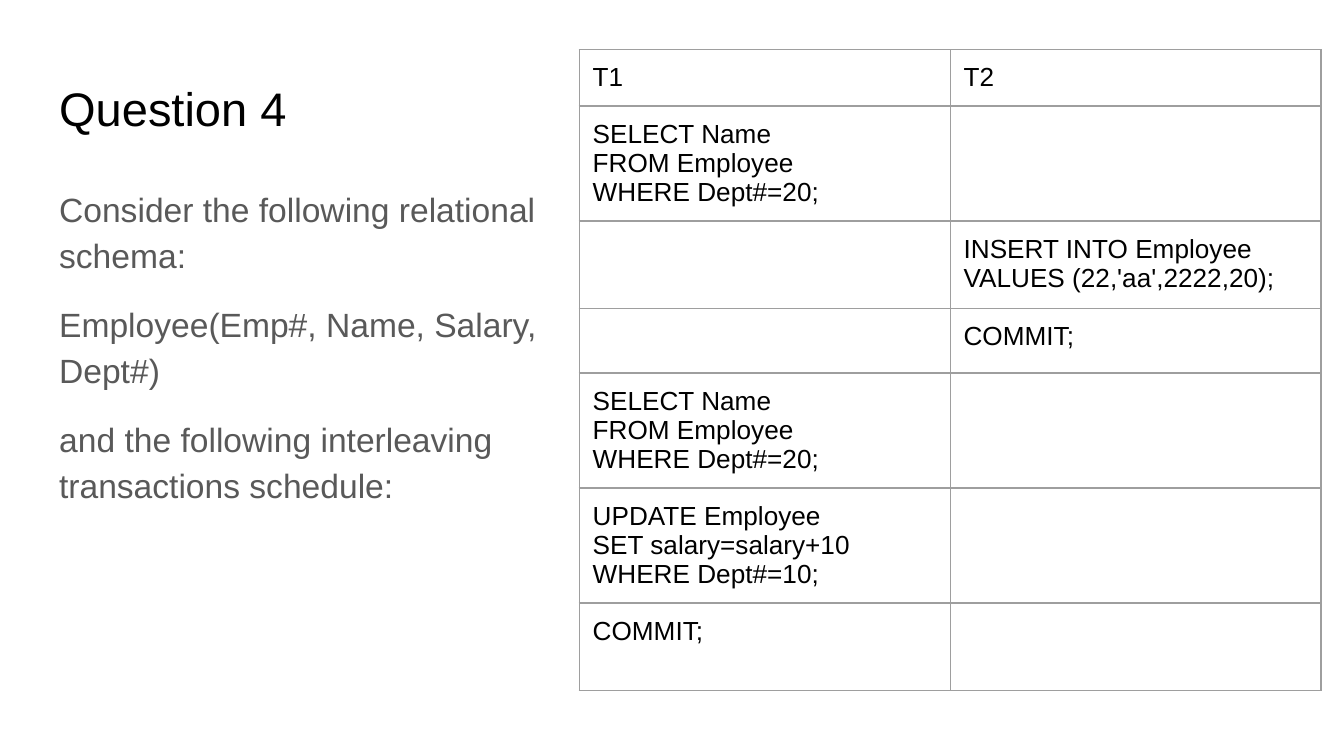
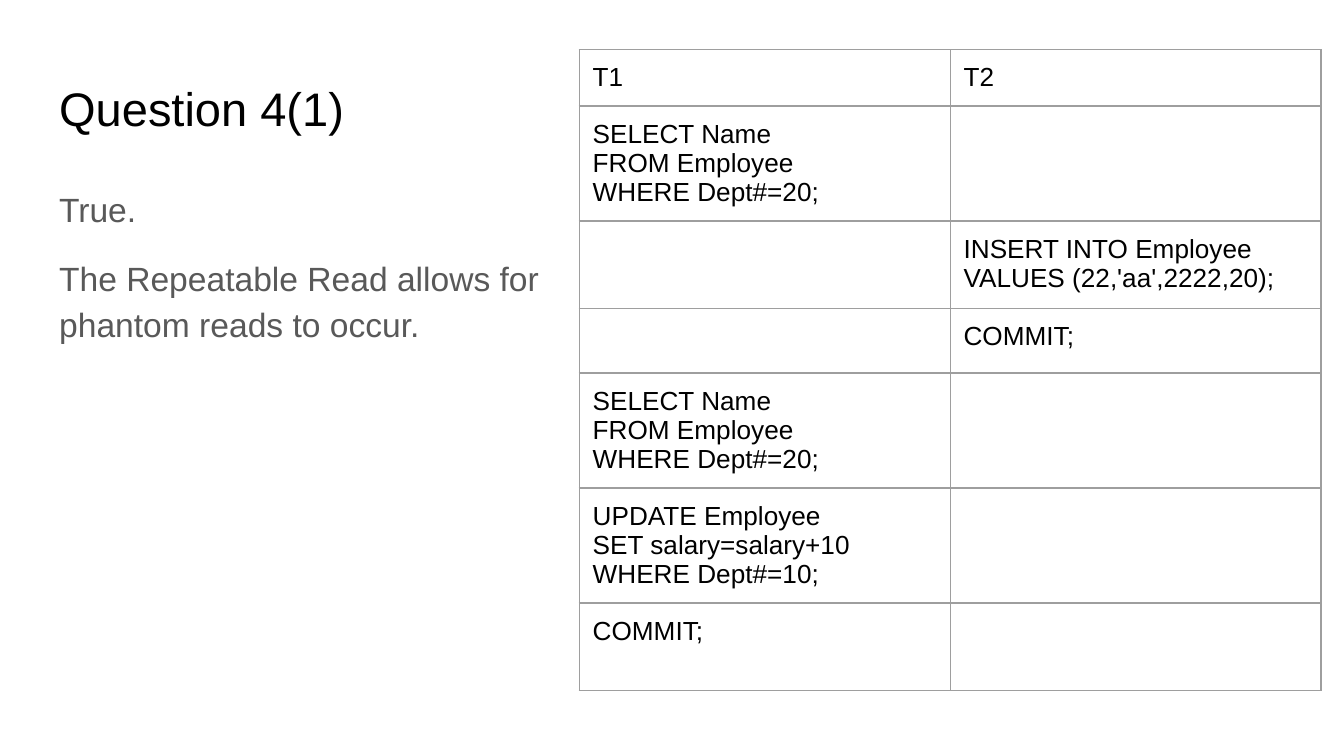
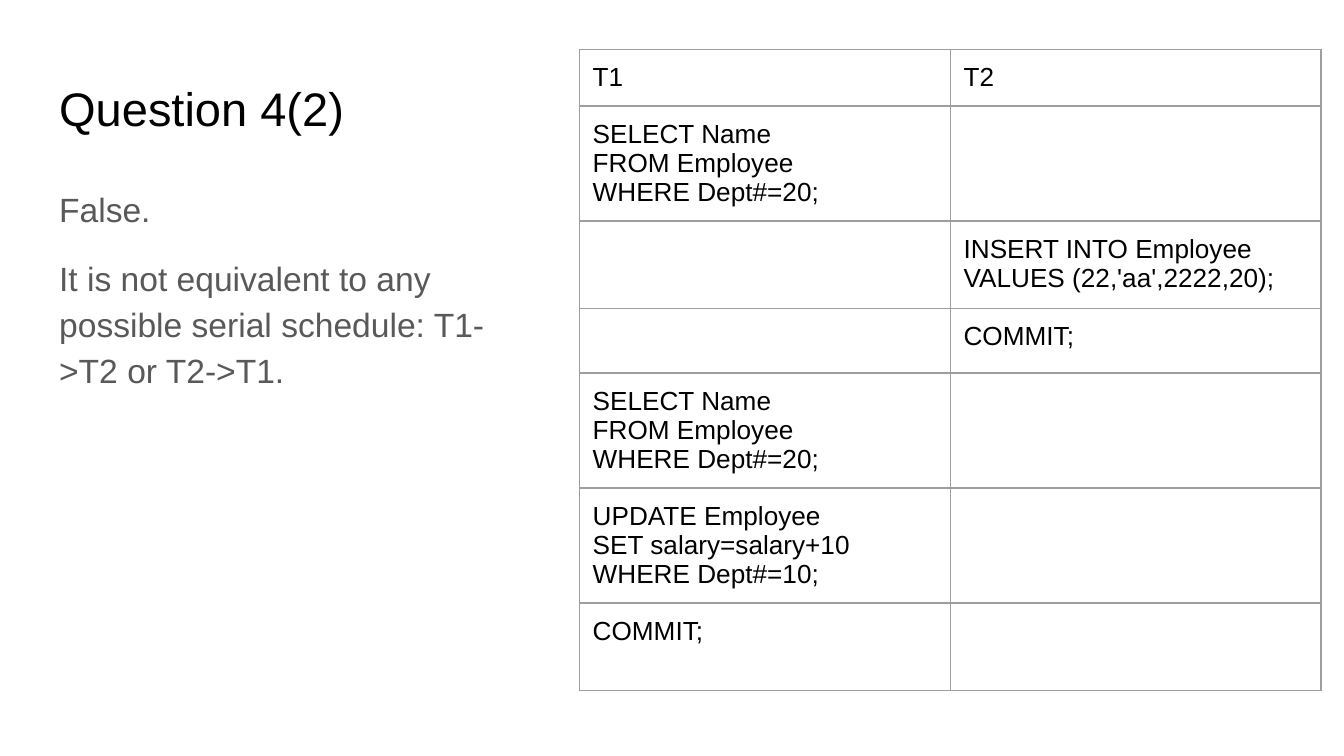
"""Build three slides on an interleaved transaction schedule."""
from dataclasses import dataclass

from pptx import Presentation
from pptx.dml.color import RGBColor
from pptx.enum.text import MSO_ANCHOR, MSO_AUTO_SIZE, PP_ALIGN
from pptx.oxml.ns import qn
from pptx.util import Inches, Pt
from lxml.etree import SubElement

QUESTIONS = [
    ("Question 4", [
        "Consider the following relational schema:",
        "Employee(Emp#, Name, Salary, Dept#)",
        "and the following interleaving transactions schedule:",
    ]),
    ("Question 4(1)", [
        "True.",
        "The Repeatable Read allows for phantom reads to occur.",
    ]),
    ("Question 4(2)", [
        "False.",
        "It is not equivalent to any possible serial schedule: T1->T2 or T2->T1.",
    ]),
]

SELECT_NAMES = ["SELECT Name", "FROM Employee", "WHERE Dept#=20;"]
INSERT_EMPLOYEE = ["INSERT INTO Employee", "VALUES (22,'aa',2222,20);"]
RAISE_SALARY = ["UPDATE Employee", "SET salary=salary+10", "WHERE Dept#=10;"]
COMMIT = ["COMMIT;"]
SCHEDULE = [
    (0.34, ["T1"], ["T2"]),
    (0.71, SELECT_NAMES, []),
    (0.65, [], INSERT_EMPLOYEE),
    (0.34, [], COMMIT),
    (0.71, SELECT_NAMES, []),
    (0.71, RAISE_SALARY, []),
    (0.65, COMMIT, []),
]


@dataclass(frozen=True)
class Theme:
    """Colours, type sizes and spacing shared by every slide."""
    font: str = "Arial"
    ink: str = "000000"
    soft_ink: str = "595959"
    rule: str = "9E9E9E"
    rule_width: float = 0.75
    title_size: float = 25.2
    body_size: float = 18
    schedule_size: float = 14
    body_leading: float = 1.15
    body_gap: float = 12
    inset: float = 0.1


THEME = Theme()
SLIDE_WIDTH = 10
SLIDE_HEIGHT = SLIDE_WIDTH * 9 / 16
MARGIN = 0.34
TITLE_BOX = (MARGIN, 0.49, SLIDE_WIDTH - 2 * MARGIN, 0.63)
BODY_BOX = (MARGIN, 1.26, 3.78, 3.74)
SCHEDULE_LEFT, SCHEDULE_TOP = 4.31, 0.37
TRANSACTION_WIDTH = 2.76


def set_insets(holder):
    """Give a text frame or a cell the same inset on all sides."""
    for side in ("left", "right", "top", "bottom"):
        setattr(holder, f"margin_{side}", Inches(THEME.inset))


def write_lines(frame, lines, size, colour, leading=1.0, gap=0):
    """Write each line as a plain, left-aligned paragraph."""
    for index, line in enumerate(lines):
        paragraph = frame.paragraphs[0] if index == 0 else frame.add_paragraph()
        paragraph.alignment = PP_ALIGN.LEFT
        paragraph.line_spacing = leading
        paragraph.space_before = Pt(gap if index else 0)
        properties = paragraph._p.get_or_add_pPr()
        properties.set("marL", "0")
        properties.set("indent", "0")
        SubElement(properties, qn("a:buNone"))
        run = paragraph.add_run()
        run.text = line
        run.font.name = THEME.font
        run.font.size = Pt(size)
        run.font.color.rgb = RGBColor.from_string(colour)


def fill_placeholder(placeholder, box, lines, *style):
    """Move a placeholder to its box and write its lines."""
    placeholder.left, placeholder.top, placeholder.width, placeholder.height = map(Inches, box)
    frame = placeholder.text_frame
    frame.word_wrap = True
    frame.auto_size = MSO_AUTO_SIZE.NONE
    frame.vertical_anchor = MSO_ANCHOR.TOP
    set_insets(frame)
    write_lines(frame, lines, *style)


def set_empty_font(cell):
    """Let an empty cell take its line height from the theme font."""
    ending = SubElement(cell.text_frame.paragraphs[0]._p, qn("a:endParaRPr"))
    SubElement(ending, qn("a:latin"), typeface=THEME.font)


def outline_cell(cell):
    """Draw thin rules on the four sides of a cell without fill."""
    properties = cell._tc.get_or_add_tcPr()
    for side in ("lnL", "lnR", "lnT", "lnB"):
        border = SubElement(properties, qn(f"a:{side}"), w=str(Pt(THEME.rule_width)))
        SubElement(SubElement(border, qn("a:solidFill")), qn("a:srgbClr"), val=THEME.rule)
    cell.fill.background()


def add_schedule(slide):
    """Add the table with one column per transaction."""
    heights = [height for height, *_ in SCHEDULE]
    transactions = len(SCHEDULE[0]) - 1
    schedule = slide.shapes.add_table(
        len(SCHEDULE), transactions, Inches(SCHEDULE_LEFT), Inches(SCHEDULE_TOP),
        Inches(transactions * TRANSACTION_WIDTH), Inches(sum(heights))).table
    schedule.first_row = schedule.horz_banding = False
    for row, (height, *steps) in zip(schedule.rows, SCHEDULE):
        row.height = Inches(height)
        for cell, statement in zip(row.cells, steps):
            set_insets(cell)
            if statement:
                write_lines(cell.text_frame, statement, THEME.schedule_size, THEME.ink)
            else:
                set_empty_font(cell)
            outline_cell(cell)


def main():
    """Build and save the deck."""
    deck = Presentation()
    deck.slide_width, deck.slide_height = Inches(SLIDE_WIDTH), Inches(SLIDE_HEIGHT)
    for question, answer in QUESTIONS:
        slide = deck.slides.add_slide(deck.slide_layouts[1])
        fill_placeholder(slide.shapes.title, TITLE_BOX, [question],
                         THEME.title_size, THEME.ink)
        fill_placeholder(slide.placeholders[1], BODY_BOX, answer, THEME.body_size,
                         THEME.soft_ink, THEME.body_leading, THEME.body_gap)
        add_schedule(slide)
    deck.save("out.pptx")


if __name__ == "__main__":
    main()
